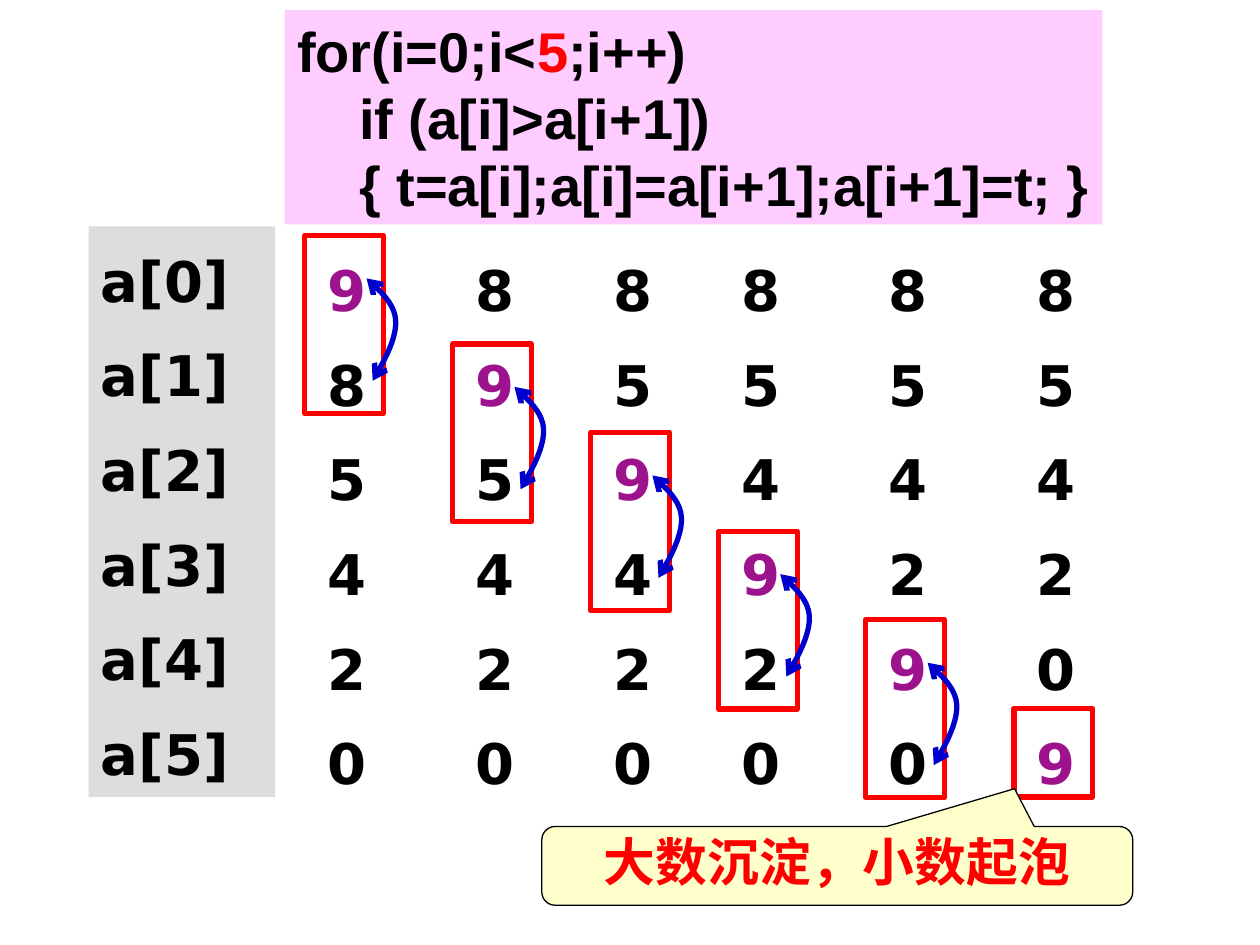
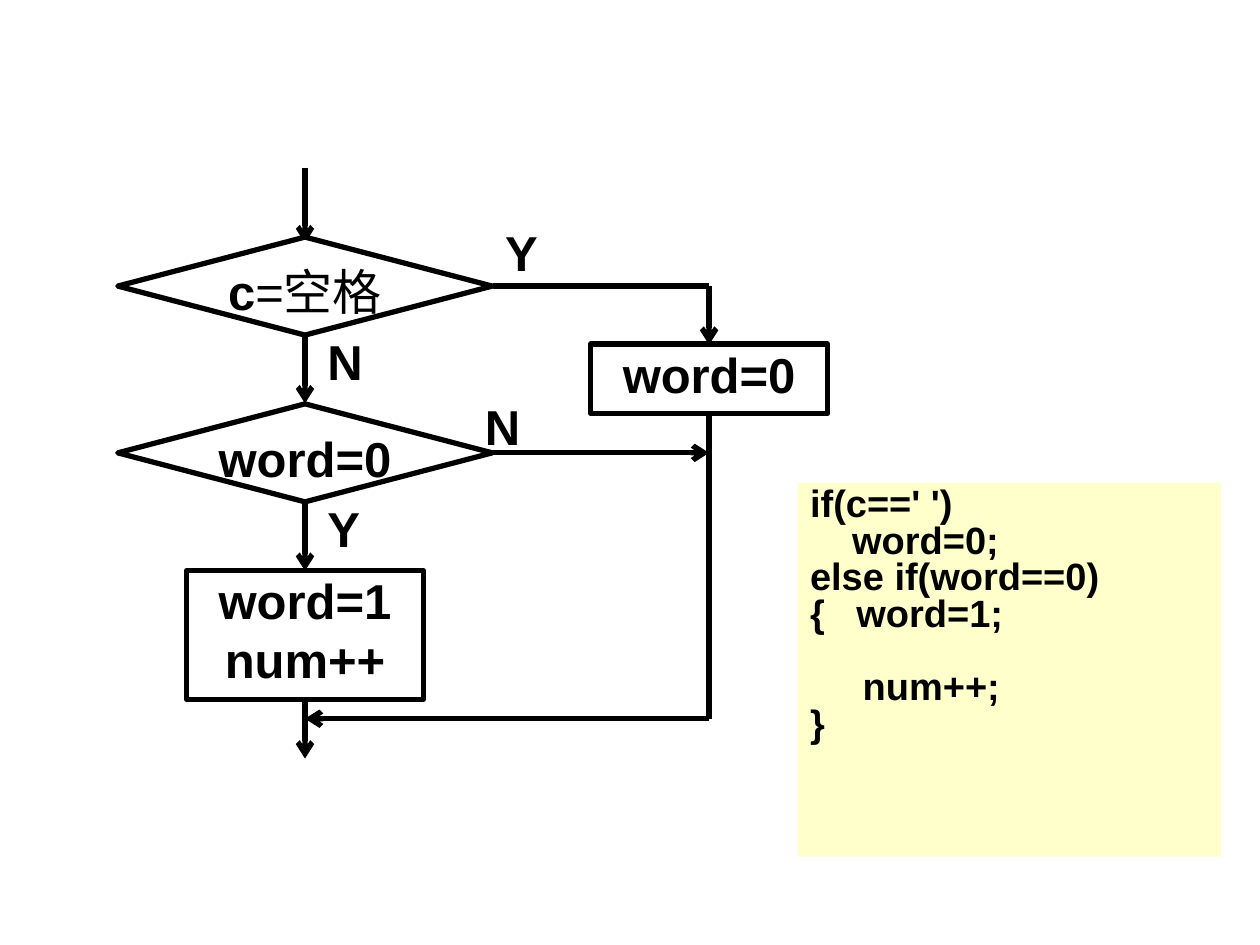
"""Two slides on bubble sorting and word counting."""
from dataclasses import dataclass

from lxml import etree
from pptx import Presentation
from pptx.dml.color import RGBColor
from pptx.enum import shapes, text
from pptx.oxml import ns
from pptx.util import Pt

KIND = shapes.MSO_SHAPE
MID = text.PP_ALIGN.CENTER


@dataclass(frozen=True)
class Theme:
    """Colours, fonts and sizes."""
    ink: str = "000000"
    paper: str = "FFFFFF"
    red: str = "FF0000"
    plum: str = "9D138D"
    blue: str = "0000CC"
    gray: str = "DDDDDD"
    pink: str = "FFCCFF"
    cream: str = "FFFFCC"
    sans: str = "Arial"
    wide: str = "DejaVu Sans"
    big: float = 32
    note: float = 29.6
    flow: float = 28
    code: float = 21.7
    thick: float = 3
    thin: float = 0.75


def tint(font, color):
    """Colour a font."""
    font.color.rgb = RGBColor.from_string(color)


class Deck:
    """Holds the style and the current slide."""

    def __init__(self, theme):
        """Start an empty deck."""
        self.theme = theme
        self.show = Presentation()
        self.show.slide_width, self.show.slide_height = Pt(720), Pt(540)

    def page(self, layout):
        """Add a slide."""
        self.slide = self.show.slides.add_slide(self.show.slide_layouts[layout])

    def put(self, frame, lines, size, face=None, align=None, space=None,
            gap=0, inset=(7.2, 3.6), wrap=True):
        """Fill a frame with paragraphs, each one string or a tuple of runs."""
        frame.word_wrap = wrap
        frame.auto_size = text.MSO_AUTO_SIZE.NONE
        frame.vertical_anchor = text.MSO_ANCHOR.TOP
        frame.margin_left = frame.margin_right = Pt(inset[0])
        frame.margin_top = frame.margin_bottom = Pt(inset[1])
        for n, line in enumerate(lines):
            para = frame.add_paragraph() if n else frame.paragraphs[0]
            for part in (line,) if isinstance(line, str) else line:
                para.add_run().text = part
            para.alignment = align
            para.line_spacing = space
            para.space_before = Pt(gap if n else 0)
            for run in para.runs:
                run.font.name = face or self.theme.sans
                run.font.size = Pt(size)
                run.font.bold = True
                tint(run.font, self.theme.ink)
        return frame.paragraphs

    def stroke(self, line, color, width, ends=()):
        """Style a line and give it arrowheads."""
        line.color.rgb = RGBColor.from_string(color)
        line.width = Pt(width)
        for end in ends:
            etree.SubElement(line._get_or_add_ln(), ns.qn(f"a:{end}"), type="arrow")

    def shape(self, kind, box, fill=None, color=None, width=3):
        """Add a preset shape."""
        item = self.slide.shapes.add_shape(kind, *map(Pt, box))
        self.paint(item, fill)
        if color:
            self.stroke(item.line, color, width)
        else:
            item.line.fill.background()
        return item

    def paint(self, item, fill):
        """Set the fill and drop the shadow."""
        item.shadow.inherit = False
        if fill:
            item.fill.solid()
            item.fill.fore_color.rgb = RGBColor.from_string(fill)
        else:
            item.fill.background()

    def label(self, box, lines, size, **look):
        """Add a text box."""
        item = self.slide.shapes.add_textbox(*map(Pt, box))
        return self.put(item.text_frame, lines, size, **look)

    def body(self, box, lines, size, **look):
        """Use the body placeholder as a list and remove the title."""
        title, item = self.slide.placeholders
        title.element.getparent().remove(title.element)
        item.left, item.top, item.width, item.height = map(Pt, box)
        paras = self.put(item.text_frame, lines, size, **look)
        for para in paras:
            props = para._p.get_or_add_pPr()
            props.set("marL", "0")
            props.set("indent", "0")
            etree.SubElement(props, ns.qn("a:buNone"))
        return paras

    def line(self, start, end, arrow=True):
        """Add a straight line, by default with an arrowhead."""
        item = self.slide.shapes.add_connector(
            shapes.MSO_CONNECTOR.STRAIGHT, *map(Pt, start + end))
        self.stroke(item.line, self.theme.ink, self.theme.thick,
                    ("tailEnd",) if arrow else ())
        etree.SubElement(item._element.spPr, ns.qn("a:effectLst"))

    def swap(self, left, top):
        """Add a curved arrow with two heads."""
        knots = [(33, 83), (40.3, 70.6), (46.8, 58.3), (46.1, 48.2),
                 (45.4, 38.9), (37.4, 31.7), (29.5, 24.5)]
        steps = 10
        dots = [knots[0]]
        for k in (0, 3):
            for n in range(1, steps + 1):
                t = n / steps
                mix = ((1 - t) ** 3, 3 * t * (1 - t) ** 2, 3 * t * t * (1 - t), t ** 3)
                dots.append(tuple(sum(m * p[axis] for m, p in zip(mix, knots[k:k + 4]))
                                  for axis in (0, 1)))
        dots = [(Pt(left + x), Pt(top + y)) for x, y in dots]
        pen = self.slide.shapes.build_freeform(*dots[0])
        pen.add_line_segments(dots[1:], close=False)
        item = pen.convert_to_shape()
        self.paint(item, None)
        self.stroke(item.line, self.theme.blue, self.theme.thick, ("headEnd", "tailEnd"))

    def step(self, kind, box, lines):
        """Add a flowchart step."""
        item = self.shape(kind, box, self.theme.paper, self.theme.ink, self.theme.thick)
        return self.put(item.text_frame, lines, self.theme.flow, align=MID,
                        inset=(0, 0), wrap=False)


def sort(deck):
    """Draw one pass of the bubble sort."""
    look = deck.theme
    deck.page(1)
    column = dict(size=look.big, face=look.wide, align=text.PP_ALIGN.LEFT,
                  space=1.2, gap=8)
    nums = [9, 8, 5, 4, 2, 0]
    last = len(nums) - 1
    lefts = [180, 264.5, 343.3, 416.4, 500.6, 585.2]
    tops = [134.6, 196.6, 247.2, 303.6, 354.2, 404.8]
    for n, (left, top) in enumerate(zip(lefts, tops)):
        add = deck.label if n else deck.body
        paras = add((left, 134.8, 56, 326), [str(num) for num in nums], **column)
        tint(paras[n].runs[0].font, look.plum)
        deck.shape(KIND.FLOWCHART_PROCESS,
                   (left - 5.8, top, 45, 101.5 if n < last else 50.6),
                   color=look.red, width=look.thick)
        if n < last:
            deck.swap(left, top)
            nums[n], nums[n + 1] = nums[n + 1], nums[n]

    note = deck.shape(KIND.ROUNDED_RECTANGULAR_CALLOUT, (309.6, 472.3, 337.7, 45),
                      look.cream, look.ink, look.thin)
    for n, value in enumerate((0.3, -0.98, 0.17)):
        note.adjustments[n] = value
    paras = deck.put(note.text_frame, ["大数沉淀，小数起泡"], look.note,
                     align=MID, space=0.9)
    tint(paras[0].runs[0].font, look.red)

    names = deck.shape(KIND.RECTANGLE, (50.6, 129.4, 106.6, 326), look.gray)
    deck.put(names.text_frame, [f"a[{n}]" for n in range(len(nums))], **column)
    code = deck.shape(KIND.RECTANGLE, (162.7, 5.8, 467.3, 122.4), look.pink)
    paras = deck.put(code.text_frame, [
        ("for(i=0;i<", "5", ";i++)"),
        "    if (a[i]>a[i+1])",
        "    { t=a[i];a[i]=a[i+1];a[i+1]=t; }"],
        look.big, align=text.PP_ALIGN.LEFT, wrap=False)
    tint(paras[0].runs[1].font, look.red)


def count(deck):
    """Draw the word counting flowchart and its code."""
    look = deck.theme
    deck.page(6)
    main, side = 174.3, 405.2
    first, second, merge = 163.5, 258.8, 410.7
    for x, start, end in ((main, 399.6, 433.5), (main, 95.8, 139),
                          (main, 191.6, 230.5), (main, 286.8, 326.2),
                          (side, first, 197)):
        deck.line((x, start), (x, end))
    deck.line((281.5, first), (side, first), arrow=False)
    deck.line((side, merge), (side, 236.2), arrow=False)
    deck.line((281.5, second), (side, second))
    deck.line((side, merge), (main, merge))

    for mid, words in ((first, ("c", "=空格")), (second, "word=0")):
        paras = deck.step(KIND.FLOWCHART_DECISION, (main - 107, mid - 28, 214, 56), [words])
        for run in paras[0].runs[1:]:
            run.font.bold = False
    for x, top, high, words in ((side, 196.6, 39.6, ["word=0"]),
                                (main, 326.2, 73.4, ["word=1", "num++"])):
        deck.step(KIND.FLOWCHART_PROCESS, (x - 67.7, top, 135.4, high), words)
    for left, top, word in ((281.5, 123.8, "Y"), (180, 185.8, "N"),
                            (180, 281.5, "Y"), (270, 223.2, "N")):
        deck.label((left, top, 39.6, 41), [word], look.flow)

    code = deck.shape(KIND.RECTANGLE, (455.8, 275.8, 242, 213.8), look.cream)
    paras = deck.put(code.text_frame, [
        "if(c==' ')", "    word=0;", "else if(word==0)",
        "{   word=1;", "     num++;", "}"],
        look.code, align=text.PP_ALIGN.LEFT, space=0.8)
    paras[4].space_before = Pt(21)


def main():
    """Build and save the deck."""
    deck = Deck(Theme())
    sort(deck)
    count(deck)
    deck.show.save("out.pptx")


if __name__ == "__main__":
    main()
